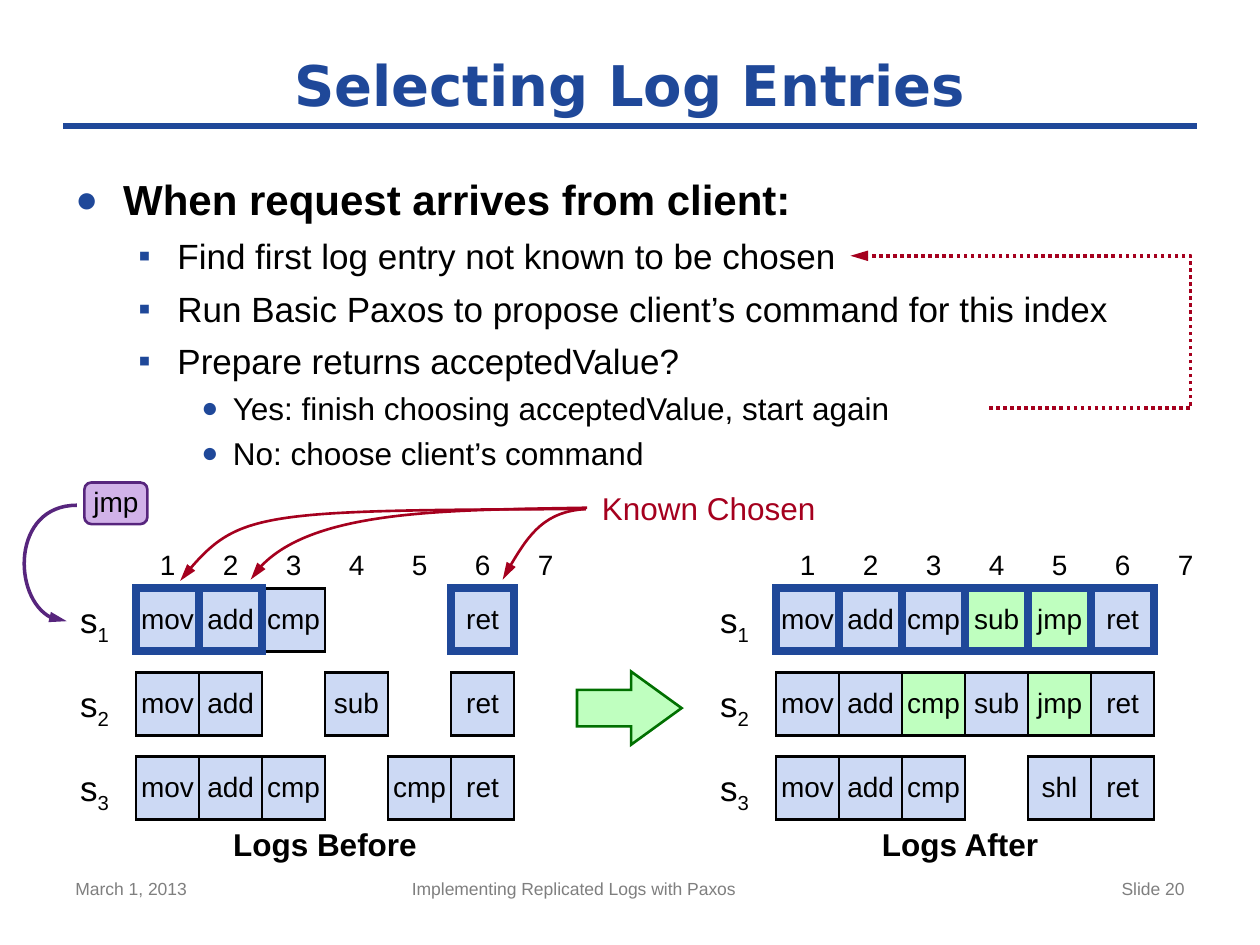
from lxml.etree import SubElement
from pptx import Presentation
from pptx.dml.color import RGBColor
from pptx.enum.dml import MSO_LINE
from pptx.enum.shapes import MSO_CONNECTOR, MSO_SHAPE
from pptx.enum.text import MSO_ANCHOR, PP_ALIGN
from pptx.oxml.ns import qn
from pptx.util import Inches, Pt

BLUE, RED, PURPLE, BLACK, GRAY = "1F4899", "A5001E", "57257D", "000000", "7F7F7F"
PALE, GREEN = "CCD9F4", "BFFFBF"
LEFT, MID, RIGHT = PP_ALIGN.LEFT, PP_ALIGN.CENTER, PP_ALIGN.RIGHT

deck = Presentation()
deck.slide_width, deck.slide_height = Inches(10), Inches(7.5)
slide = deck.slides.add_slide(deck.slide_layouts[6])
shapes = slide.shapes


def hue(code):
    return RGBColor.from_string(code)


def style(run, size, color=BLACK, bold=False, face="Arial"):
    font = run.font
    font.size, font.bold, font.name = Pt(size), bold, face
    font.color.rgb = hue(color)


def pad(frame):
    frame.margin_left = frame.margin_right = 0
    frame.margin_top = frame.margin_bottom = 0


def label(text, x, y, w, h, size, color=BLACK, align=MID, bold=False,
          face="Arial", wrap=True):
    box = shapes.add_textbox(Inches(x), Inches(y), Inches(w), Inches(h))
    frame = box.text_frame
    frame.word_wrap = wrap
    frame.text = text
    para = frame.paragraphs[0]
    para.alignment = align
    style(para.runs[0], size, color, bold, face)
    return frame


def block(kind, x, y, w, h, fill, color, width, text=""):
    shape = shapes.add_shape(kind, Inches(x), Inches(y), Inches(w), Inches(h))
    shape.shadow.inherit = False
    shape.fill.solid()
    shape.fill.fore_color.rgb = hue(fill)
    shape.line.color.rgb = hue(color)
    shape.line.width = Pt(width)
    SubElement(shape.line._get_or_add_ln(), qn("a:miter"), lim="800000")
    if text:
        frame = shape.text_frame
        pad(frame)
        frame.word_wrap = True
        frame.vertical_anchor = MSO_ANCHOR.MIDDLE
        frame.text = text
        para = frame.paragraphs[0]
        para.alignment, para.line_spacing = MID, Pt(17)
        style(para.runs[0], 16)
    return shape


def arrow(points, color, width, curve=True):
    spots = [(Inches(x), Inches(y)) for x, y in points]
    pen = shapes.build_freeform(*spots[0])
    pen.add_line_segments(spots[1:], close=False)
    shape = pen.convert_to_shape()
    shape.shadow.inherit = False
    shape.fill.background()
    shape.line.color.rgb = hue(color)
    shape.line.width = Pt(width)
    if curve:
        # The three segments become one Bezier curve
        steps = shape.element.xpath(".//a:lnTo")
        bend = SubElement(steps[0].getparent(), qn("a:cubicBezTo"))
        for step in steps:
            bend.append(step[0])
            step.getparent().remove(step)
    else:
        shape.line.dash_style = MSO_LINE.ROUND_DOT
    SubElement(shape.line._get_or_add_ln(), qn("a:tailEnd"),
               type="triangle", w="med", len="lg")


def header(text, x, y, w):
    rule = shapes.add_connector(MSO_CONNECTOR.STRAIGHT, Inches(x), Inches(y + 0.67),
                                Inches(x + w), Inches(y + 0.67))
    rule.line.color.rgb = hue(BLUE)
    rule.line.width = Pt(4)
    SubElement(rule.element.spPr, qn("a:effectLst"))
    frame = label(text, x, y, w, 0.67, 32, BLUE, bold=True, face="DejaVu Sans")
    frame.vertical_anchor = MSO_ANCHOR.MIDDLE


# Level: size, space before, indent, hang, bullet, bullet size
LEVELS = [(24, 12, 0.38, 0.38, "●", 90),
          (20, 6, 0.81, 0.31, "▪", 100),
          (18, 4, 1.25, 0.25, "●", 90)]


def outline(items, x, y, w, h):
    box = shapes.add_textbox(Inches(x), Inches(y), Inches(w), Inches(h))
    frame = box.text_frame
    frame.word_wrap = True
    frame.text = "\n".join(text for _, text in items)
    for para, (level, _) in zip(frame.paragraphs, items):
        size, gap, indent, hang, mark, scale = LEVELS[level]
        para.level, para.space_before = level, Pt(gap)
        style(para.runs[0], size, bold=level == 0)
        props = para._p.get_or_add_pPr()
        props.set("marL", str(Inches(indent)))
        props.set("indent", str(-Inches(hang)))
        tint = SubElement(props, qn("a:buClr"))
        SubElement(tint, qn("a:srgbClr"), val=BLUE)
        SubElement(props, qn("a:buSzPct"), val=str(scale * 1000))
        SubElement(props, qn("a:buFont"), typeface="Arial")
        SubElement(props, qn("a:buChar"), char=mark)


def logs(title, rows, x, y, span):
    """Draw logs; * marks a chosen entry, + a new one, - a gap."""
    side, pitch, first = 0.5, 2 / 3, x + 0.58
    for col in range(7):
        label(str(col + 1), first + col * side, y, side, 0.37, 16)
    cells = []
    for row, line in enumerate(rows):
        top = y + 0.37 + row * pitch
        frame = label("s", x, top + 0.08, side, 0.34, 20)
        pad(frame)
        sub = frame.paragraphs[0].add_run()
        sub.text = str(row + 1)
        style(sub, 20)
        sub.font._element.set("baseline", "-25000")
        cells += [("*" in word, top, first + col * side, word)
                  for col, word in enumerate(line.split()) if word != "-"]
    # Chosen entries go on top
    for chosen, top, left, word in sorted(cells, key=lambda cell: cell[0]):
        edge = (BLUE, 4.5) if chosen else (BLACK, 1.5)
        block(MSO_SHAPE.RECTANGLE, left, top, side, side,
              GREEN if "+" in word else PALE, *edge, word.strip("*+"))
    label(title, x + 1.08, y + 2.2, span, 0.4, 18, bold=True)


def footer(x, y, h):
    label("March 1, 2013", x, y, 2.33, h, 10, GRAY, LEFT)
    label("Implementing Replicated Logs with Paxos", x + 2.67, y, 3.75, h, 10, GRAY, LEFT)
    label("Slide 20", x + 6.67, y, 2.33, h, 10, GRAY, RIGHT)


def request(x, y):
    block(MSO_SHAPE.ROUNDED_RECTANGLE, x, y, 0.5, 0.33, "D1B2E8", PURPLE, 1.5, "jmp")
    arrow([(x - 0.06, y + 0.18), (x - 0.58, y + 0.18),
           (x - 0.58, y + 1.1), (x - 0.14, y + 1.1)], PURPLE, 2)


def known(x, y):
    label("Known Chosen", x, y, 1.91, 0.4, 18, RED, wrap=False)
    for path in ([(-0.02, 0.21), (-2.55, 0.22), (-2.81, 0.23), (-3.24, 0.78)],
                 [(-0.01, 0.2), (-1.11, 0.22), (-2.33, 0.21), (-2.68, 0.77)],
                 [(-0.02, 0.21), (-0.34, 0.23), (-0.51, 0.45), (-0.68, 0.77)]):
        arrow([(x + dx, y + dy) for dx, dy in path], RED, 1.5)


# Heading and steps
header("Selecting Log Entries", 0.5, 0.33, 9)
outline([(0, "When request arrives from client:"),
         (1, "Find first log entry not known to be chosen"),
         (1, "Run Basic Paxos to propose client’s command for this index"),
         (1, "Prepare returns acceptedValue?"),
         (2, "Yes: finish choosing acceptedValue, start again"),
         (2, "No: choose client’s command")], 0.5, 1.33, 9, 2.83)
arrow([(7.85, 3.24), (9.45, 3.24), (9.45, 2.03), (6.75, 2.03)], RED, 2, curve=False)

# Logs
logs("Logs Before", ["mov* add* cmp - - ret*",
                     "mov add - sub - ret",
                     "mov add cmp - cmp ret"], 0.5, 4.3, 2)
logs("Logs After", ["mov* add* cmp* sub*+ jmp*+ ret*",
                    "mov add cmp+ sub jmp+ ret",
                    "mov add cmp - shl ret"], 5.58, 4.3, 1.92)
turn = block(MSO_SHAPE.RIGHT_ARROW, 4.58, 5.33, 0.83, 0.58, GREEN, "007000", 1.5)
turn.adjustments[1] = 0.69

# Callouts and footer
request(0.67, 3.83)
known(4.67, 3.83)
footer(0.5, 6.92, 0.43)

deck.save("out.pptx")
